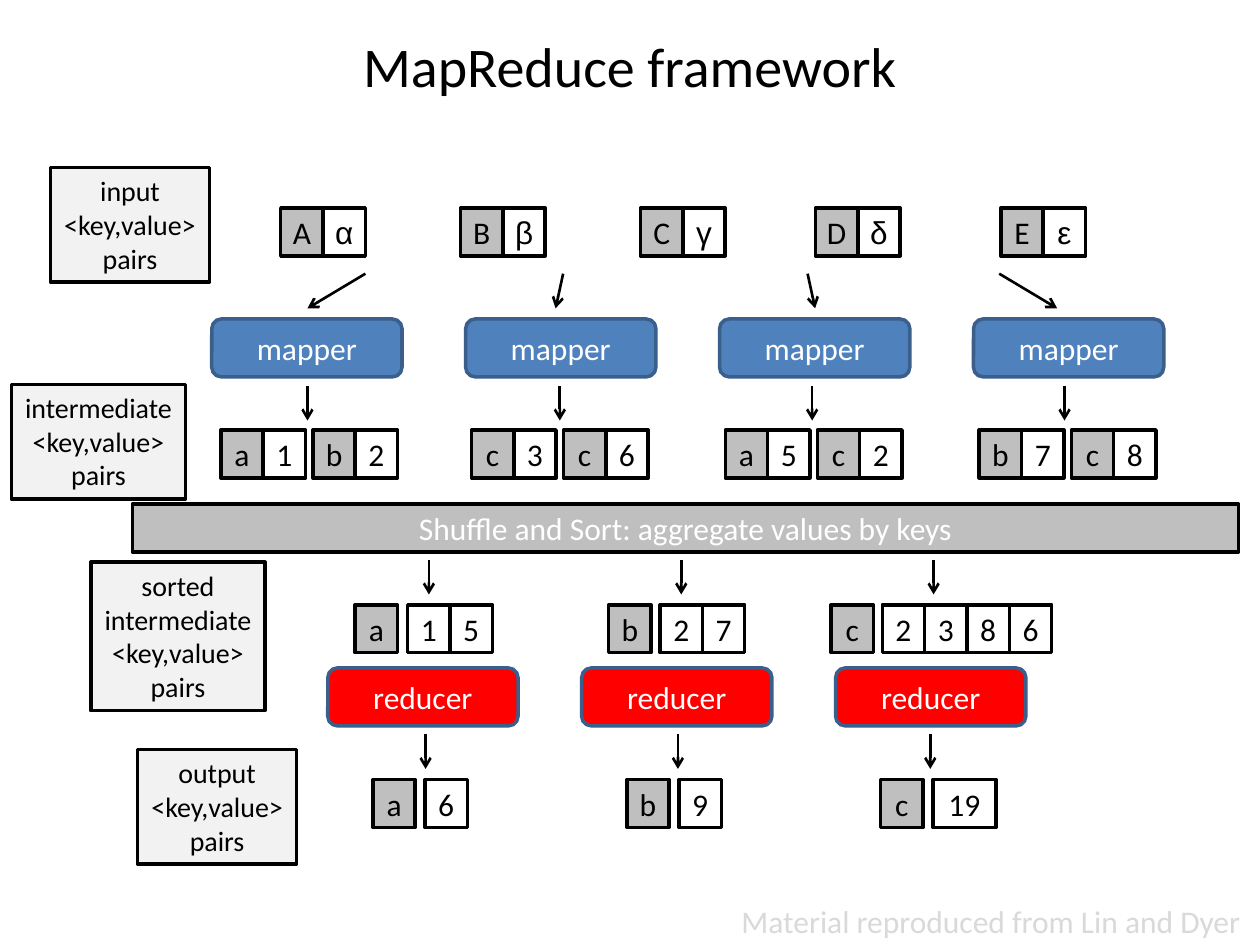
from dataclasses import dataclass

from lxml import etree
from pptx import Presentation
from pptx.dml.color import RGBColor
from pptx.enum.shapes import MSO_CONNECTOR, MSO_SHAPE
from pptx.enum.text import MSO_ANCHOR, PP_ALIGN
from pptx.oxml.ns import qn
from pptx.util import Pt

RECT, ROUNDED = MSO_SHAPE.RECTANGLE, MSO_SHAPE.ROUNDED_RECTANGLE
STRAIGHT = MSO_CONNECTOR.STRAIGHT
TOP, MIDDLE = MSO_ANCHOR.TOP, MSO_ANCHOR.MIDDLE
LEFT, CENTER = PP_ALIGN.LEFT, PP_ALIGN.CENTER


@dataclass(frozen=True)
class Theme:
    black: str = "000000"
    white: str = "FFFFFF"
    key: str = "BFBFBF"
    caption: str = "F2F2F2"
    mapper: str = "4F81BD"
    reducer: str = "FF0000"
    task_line: str = "3A5F8C"
    credit: str = "D9D9D9"
    font: str = "Calibri"
    greek_font: str = "Arial"
    title_size: int = 32
    body_size: int = 18
    caption_size: int = 16
    outline: float = 2
    arrow: float = 1.5


THEME = Theme()
CELL_W, CELL_H = 24.2, 27.4
TASK_W, TASK_H = 108.7, 33.1
TASK_PITCH = 145.1
ARROW_PITCH = 144.2
ARROW_H = 19.8
PAIR_PITCH = 52.6


def write_text(shape, text, size=THEME.body_size, color=THEME.black, font=THEME.font,
               align=CENTER, anchor=MIDDLE, wrap=True, margins=(7.2, 3.6)):
    frame = shape.text_frame
    frame.word_wrap = wrap
    frame.vertical_anchor = anchor
    frame.margin_left = frame.margin_right = Pt(margins[0])
    frame.margin_top = frame.margin_bottom = Pt(margins[1])
    for index, line in enumerate(text.split("\n")):
        paragraph = frame.paragraphs[0] if index == 0 else frame.add_paragraph()
        paragraph.alignment = align
        run = paragraph.add_run()
        run.text = line
        run.font.size = Pt(size)
        run.font.name = font
        run.font.color.rgb = RGBColor.from_string(color)


def add_label(slide, box, text, **text_format):
    label = slide.shapes.add_textbox(*map(Pt, box))
    write_text(label, text, **text_format)


def add_box(slide, box, text, fill=None, line=THEME.black, kind=RECT, **text_format):
    shape = slide.shapes.add_shape(kind, *map(Pt, box))
    shape.shadow.inherit = False
    if fill:
        shape.fill.solid()
        shape.fill.fore_color.rgb = RGBColor.from_string(fill)
    else:
        shape.fill.background()
    shape.line.color.rgb = RGBColor.from_string(line)
    shape.line.width = Pt(THEME.outline)
    write_text(shape, text, **text_format)


def add_arrow(slide, x, y, dx=0, dy=ARROW_H):
    arrow = slide.shapes.add_connector(STRAIGHT, Pt(x), Pt(y), Pt(x + dx), Pt(y + dy))
    arrow.line.color.rgb = RGBColor.from_string(THEME.black)
    arrow.line.width = Pt(THEME.arrow)
    properties = arrow.line._get_or_add_ln()
    etree.SubElement(properties, qn("a:tailEnd"), type="arrow")
    etree.SubElement(arrow._element.spPr, qn("a:effectLst"))


def add_arrow_row(slide, left, top, count):
    for index in range(count):
        add_arrow(slide, left + index * ARROW_PITCH, top)


def add_record(slide, left, top, key, values, gap=0, value_w=CELL_W, value_font=THEME.font):
    """A grey key cell followed, after a gap, by its white value cells."""
    add_box(slide, (left, top, CELL_W, CELL_H), key, THEME.key, margins=(0, 0))
    for index, value in enumerate(values):
        x = left + CELL_W + gap + index * value_w
        add_box(slide, (x, top, value_w, CELL_H), value, font=value_font, margins=(0, 0))


def add_task_row(slide, left, top, count, name, fill):
    for index in range(count):
        add_box(slide, (left + index * TASK_PITCH, top, TASK_W, TASK_H), name, fill,
                THEME.task_line, ROUNDED, color=THEME.white)


def add_input_row(slide, top):
    records = (("A", "α", 160.4), ("B", "β", 263.2), ("C", "γ", 366),
               ("D", "δ", 466), ("E", "ε", 571.9))
    for key, value, left in records:
        add_record(slide, left, top, key, value, value_font=THEME.greek_font)


def add_map_stage(slide, left, top):
    """Arrows into the mappers, the mappers, and the pairs they emit."""
    for x, dx in ((208.8, -33.1), (321.8, -4.3), (461.5, 4.3), (571, 33.1)):
        add_arrow(slide, x, top, dx)
    add_task_row(slide, left, top + 25.9, 4, "mapper", THEME.mapper)
    add_arrow_row(slide, left + 54.7, top + 64.1, 4)
    emitted = (("a1", "b2", 126.2), ("c3", "c6", 269.4),
               ("a5", "c2", 414.5), ("b7", "c8", 559.6))
    for first, second, x in emitted:
        for index, (key, value) in enumerate((first, second)):
            add_record(slide, x + index * PAIR_PITCH, top + 89.3, key, value)


def add_reduce_stage(slide, left, top):
    """Sorted groups, the reducers, and the totals they emit."""
    add_arrow_row(slide, left + 57.8, top, 3)
    for key, values, x, gap in (("a", "15", 203, 5.8), ("b", "27", 347.8, 5.2),
                                ("c", "2386", 475, 5)):
        add_record(slide, x, top + 25.7, key, values, gap)
    add_task_row(slide, left, top + 61.8, 3, "reducer", THEME.reducer)
    add_arrow_row(slide, left + 55.9, top + 99.7, 3)
    for index, (key, total, width) in enumerate((("a", "6", CELL_W), ("b", "9", CELL_W),
                                                 ("c", "19", 36))):
        add_record(slide, left + 25.8 + index * TASK_PITCH, top + 125.6, key, [total],
                   5.6, width)


def add_captions(slide):
    captions = (
        ((28.8, 95.8, 91, 65.4), "input\n<key,value>\npairs"),
        ((6.5, 219.8, 99.6, 65.4), "intermediate\n<key,value>\npairs"),
        ((78.6, 428.4, 91, 65.4), "output\n<key,value>\npairs"),
        ((51.9, 321.3, 99.6, 84.8), "sorted\nintermediate\n<key,value>\npairs"),
    )
    for box, text in captions:
        add_box(slide, box, text, THEME.caption, size=THEME.caption_size,
                anchor=TOP, wrap=False)


def main():
    deck = Presentation()
    deck.slide_width, deck.slide_height = Pt(720), Pt(540)
    slide = deck.slides.add_slide(deck.slide_layouts[6])

    add_label(slide, (36, 12.2, 648, 50.4), "MapReduce framework", size=THEME.title_size)
    add_input_row(slide, 118.8)
    add_map_stage(slide, 121, 156.4)
    add_box(slide, (75.6, 288, 632.2, CELL_H), "Shuffle and Sort: aggregate values by keys",
            THEME.key, color=THEME.white)
    add_reduce_stage(slide, 187.3, 319.9)
    add_label(slide, (416.6, 511.9, 303.4, 29.1), "Material reproduced from Lin and Dyer",
              color=THEME.credit, align=LEFT, anchor=TOP, wrap=False)
    add_captions(slide)

    deck.save("out.pptx")


if __name__ == "__main__":
    main()
